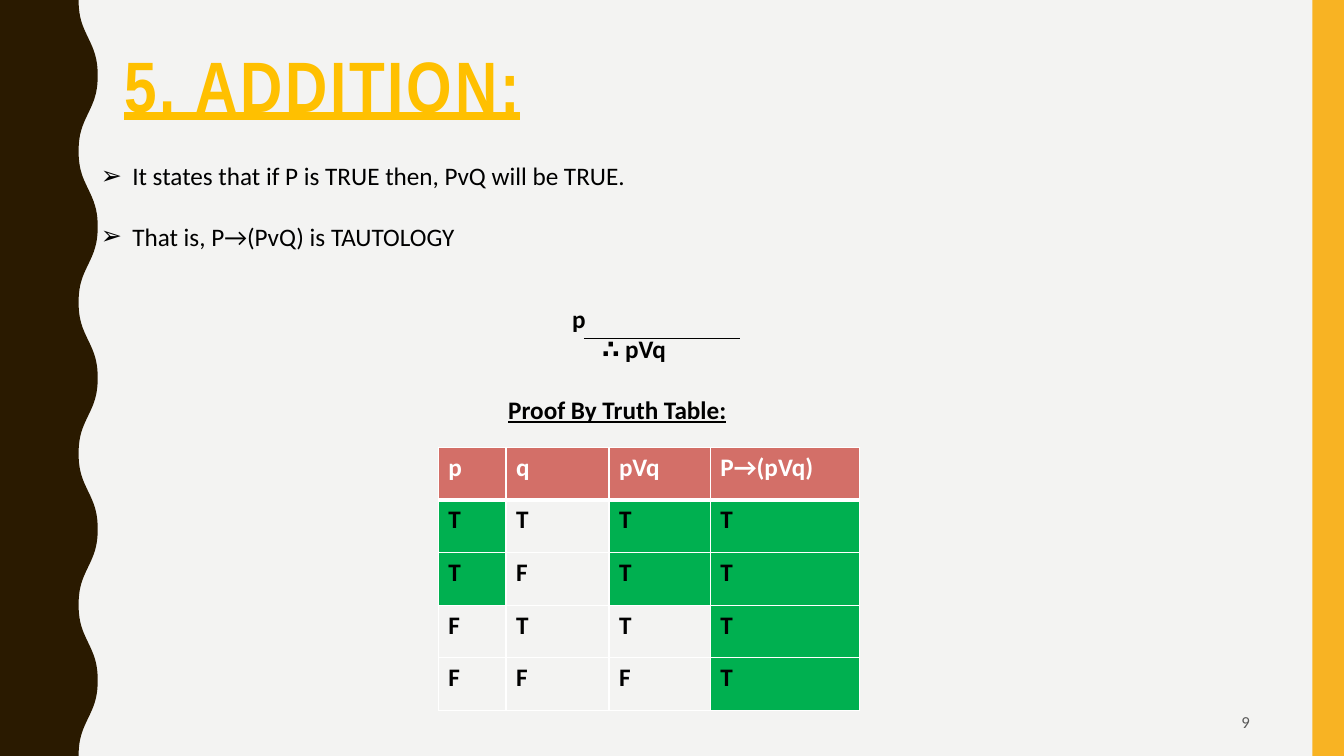
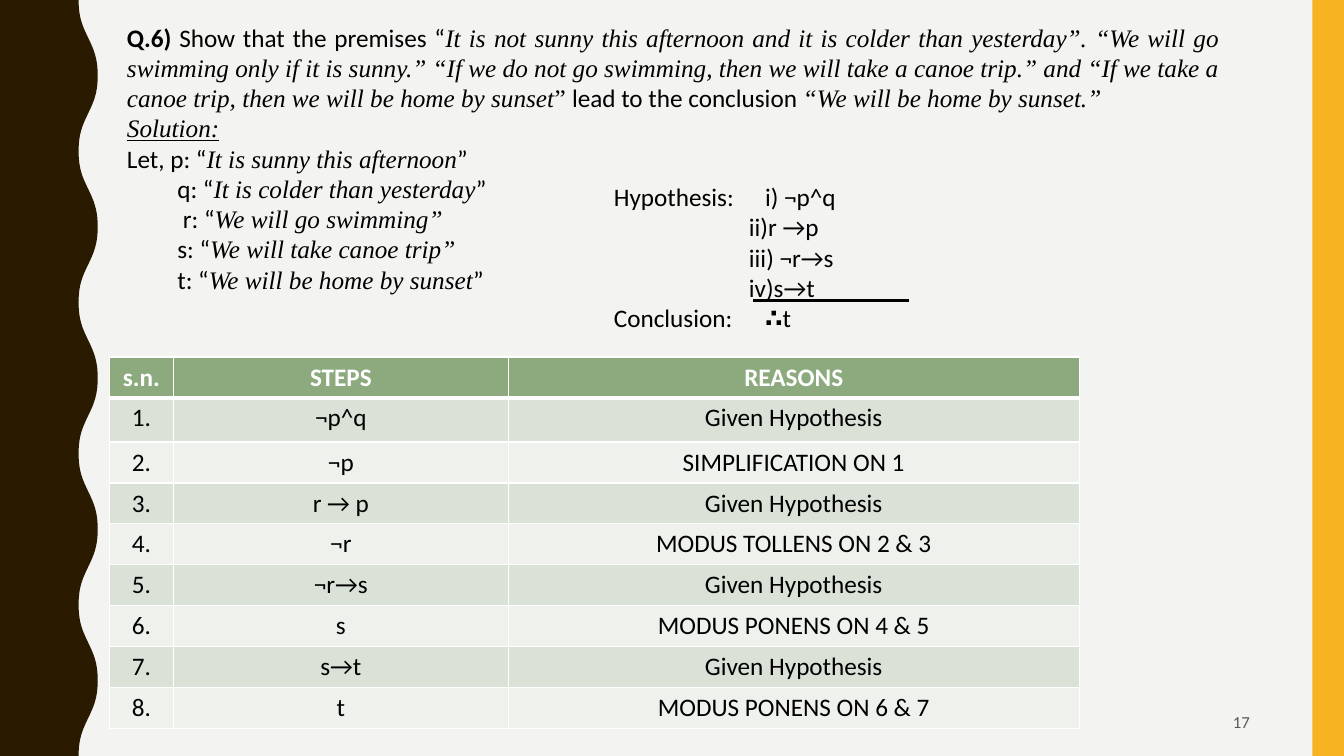
import math
from dataclasses import dataclass

from lxml import etree
from pptx import Presentation
from pptx import util as u
from pptx.dml.color import RGBColor
from pptx.enum import shapes, text
from pptx.oxml import ns

Pt = u.Pt
ALIGN = text.PP_ALIGN


@dataclass(frozen=True)
class Theme:
    paper: str = "F3F3F2"
    bark: str = "2A1A00"
    amber: str = "F8B323"
    gold: str = "FFC000"
    ink: str = "000000"
    muted: str = "595959"
    white: str = "FFFFFF"
    coral: str = "D36F68"
    true: str = "00B050"
    sage: str = "8CAA7E"
    bands: tuple = ("DAE2D8", "EEF1EC")
    body: str = "Calibri"
    heading: str = "Arial Narrow"
    quote: str = "Times New Roman"
    title_size: int = 51
    body_size: int = 18
    number_size: int = 12


T = Theme()
QUOTE = dict(font=T.quote, italic=True)


def rgb(color):
    return RGBColor.from_string(color)


def sub(parent, tag, **attrs):
    e = etree.SubElement(parent, ns.qn(tag))
    for name, value in attrs.items():
        e.set(name, str(value))
    return e


def add_run(p, content, font=T.body, size=T.body_size, color=T.ink,
            bold=False, italic=False, underline=False, spacing=0):
    r = p.add_run()
    r.text = content
    f = r.font
    f.name, f.size, f.color.rgb = font, Pt(size), rgb(color)
    f.bold, f.italic, f.underline = bold, italic, underline
    if spacing:
        f._element.set("spc", str(spacing * 100))


def add_paragraph(tf, runs, align=ALIGN.LEFT, indent=0, hang=0, bullet=None,
                  tab=None, line=None, before=0, **fmt):
    """Fill the empty first paragraph or append one; runs is text or (text, format) pairs."""
    p = tf.paragraphs[0]
    if p.runs:
        p = tf.add_paragraph()
    pPr = p._p.get_or_add_pPr()
    pPr.set("marL", str(Pt(indent)))
    pPr.set("indent", str(Pt(-hang)))
    if bullet:
        sub(pPr, "a:buFont", typeface="Arial")
        sub(pPr, "a:buChar", char=bullet)
    else:
        sub(pPr, "a:buNone")
    if tab:
        sub(sub(pPr, "a:tabLst"), "a:tab", pos=Pt(tab), algn="l")
    p.alignment, p.space_before = align, Pt(before)
    if line:
        p.line_spacing = line
    for content, own in [(runs, {})] if isinstance(runs, str) else runs:
        add_run(p, content, **{**fmt, **own})


def set_borders(cell, widths):
    """Draw white cell edges; widths maps L, R, T and B to points."""
    tcPr = cell._tc.get_or_add_tcPr()
    for i, (side, width) in enumerate(widths.items()):
        ln = etree.Element(ns.qn(f"a:ln{side}"), w=str(Pt(width)))
        sub(sub(ln, "a:solidFill"), "a:srgbClr", val=T.white)
        tcPr.insert(i, ln)


class Deck:
    def __init__(self):
        self.prs = Presentation()
        self.prs.slide_width, self.prs.slide_height = Pt(960), Pt(540)
        fill = self.prs.slide_master.background.fill
        fill.solid()
        fill.fore_color.rgb = rgb(T.paper)
        self.s = None

    def slide(self, layout, number):
        self.s = self.prs.slides.add_slide(self.prs.slide_layouts.get_by_name(layout))
        self.wave()
        bar = self.s.shapes.add_shape(shapes.MSO_SHAPE.RECTANGLE,
                                      Pt(937.5), 0, Pt(22.5), Pt(540))
        self.paint(bar, T.amber)
        tf = self.text(678, 502, 214.8, 27.4)
        tf.vertical_anchor = text.MSO_ANCHOR.MIDDLE
        add_paragraph(tf, number, align=ALIGN.RIGHT, size=T.number_size, color=T.muted)

    def paint(self, sp, color):
        sp.shadow.inherit = False
        sp.fill.solid()
        sp.fill.fore_color.rgb = rgb(color)
        sp.line.fill.background()

    def wave(self):
        """Left band whose edge makes five waves down the slide."""
        edge = []
        for y in range(0, 541, 3):
            a = 2 * math.pi * y / 108
            x = 63 - 7.2 * math.cos(a) + 0.36 * math.cos(3 * a)
            edge.append((Pt(x), Pt(y)))
        builder = self.s.shapes.build_freeform(0, 0)
        builder.add_line_segments(edge + [(0, Pt(540))], close=True)
        self.paint(builder.convert_to_shape(), T.bark)

    def frame(self, sp, x, y, w, h):
        """Place a text shape and give it a plain, wrapping frame without insets."""
        sp.left, sp.top, sp.width, sp.height = Pt(x), Pt(y), Pt(w), Pt(h)
        tf = sp.text_frame
        tf.word_wrap, tf.auto_size = True, text.MSO_AUTO_SIZE.NONE
        tf.vertical_anchor = text.MSO_ANCHOR.TOP
        tf.margin_left = tf.margin_right = tf.margin_top = tf.margin_bottom = 0
        return tf

    def text(self, x, y, w, h):
        return self.frame(self.s.shapes.add_textbox(0, 0, 0, 0), x, y, w, h)

    def title(self, content):
        tf = self.frame(self.s.shapes.title, 88.6, 36, 657, 63)
        add_paragraph(tf, content, line=0.9, font=T.heading, size=T.title_size,
                      color=T.gold, bold=True, underline=True, spacing=2)

    def bullets(self, items):
        tf = self.frame(self.s.placeholders[1], 72, 93, 866, 87)
        for item in items:
            add_paragraph(tf, item, indent=22.5, hang=22.5, bullet="➢", line=2.0)

    def rule(self, x, y, length, width):
        c = self.s.shapes.add_connector(shapes.MSO_CONNECTOR.STRAIGHT,
                                        Pt(x), Pt(y), Pt(x + length), Pt(y))
        c.line.color.rgb, c.line.width = rgb(T.ink), Pt(width)
        sub(c.element.spPr, "a:effectLst")

    def table(self, x, y, widths, heights, rows, head, fill_of,
              align=ALIGN.LEFT, bold=False):
        """fill_of(row, column) gives a body cell's colour, or None for no fill."""
        tbl = self.s.shapes.add_table(len(rows), len(widths), Pt(x), Pt(y),
                                      Pt(sum(widths)), Pt(sum(heights))).table
        tbl.horz_banding = False
        for col, w in zip(tbl.columns, widths):
            col.width = Pt(w)
        for i, (row, h) in enumerate(zip(rows, heights)):
            tbl.rows[i].height = Pt(h)
            for j, content in enumerate(row):
                cell = tbl.cell(i, j)
                color = fill_of(i, j) if i else head
                if color:
                    cell.fill.solid()
                    cell.fill.fore_color.rgb = rgb(color)
                else:
                    cell.fill.background()
                set_borders(cell, dict(L=1, R=1, T=3 if i == 1 else 1, B=1 if i else 3))
                add_paragraph(cell.text_frame, content, align=align,
                              color=T.ink if i else T.white, bold=bold or not i)


def addition(d):
    d.slide("Title and Content", "9")
    d.title("5. ADDITION:")
    d.bullets(["It states that if P is TRUE then, PvQ will be TRUE.",
               "That is, P→(PvQ) is TAUTOLOGY"])
    tf = d.text(363, 216.7, 350, 88)
    add_paragraph(tf, "p", indent=45.6, bold=True)
    add_paragraph(tf, "∴ pVq", indent=67, bold=True)
    add_paragraph(tf, "Proof By Truth Table:", before=21.6, bold=True, underline=True)
    rows = [["p", "q", "pVq", "P→(pVq)"], *map(list, ("TTTT", "TFTT", "FTTT", "FFFT"))]
    always_true, p_true = 3, (0, 2)

    def fill_of(i, j):
        return T.true if j == always_true or (rows[i][0] == "T" and j in p_true) else None

    d.table(313, 319.5, [48.5, 73.5, 72.5, 106.5], [37.6] * 5, rows, T.coral,
            fill_of, bold=True)
    d.rule(417, 242, 111.5, 0.5)


def canoe_trip(d):
    d.slide("Blank", "17")
    tf = d.text(90.7, 15.8, 780.5, 197)
    add_paragraph(tf, [
        ("Q.6) ", dict(bold=True)),
        ("Show that the premises “", {}),
        ("It is not sunny this afternoon and it is colder than yesterday”. “We will go "
         "swimming only if it is sunny.” “If we do not go swimming, then we will take a "
         "canoe trip.” and “If we take a canoe trip, then we will be home by sunset", QUOTE),
        ("” ", dict(font=T.quote)),
        ("lead to the conclusion ", {}),
        ("“We will be home by sunset.”", QUOTE)], align=ALIGN.JUSTIFY)
    add_paragraph(tf, "Solution:", align=ALIGN.JUSTIFY, underline=True, **QUOTE)
    for label, claim, closing, indent in [
            ("Let, p", "It is sunny this afternoon", {}, 0),
            ("q", "It is colder than yesterday", {}, 36),
            ("r", "We will go swimming", QUOTE, 40),
            ("s", "We will take canoe trip", QUOTE, 36),
            ("t", "We will be home by sunset", {}, 36)]:
        add_paragraph(tf, [(f"{label}: “", {}), (claim, QUOTE), ("”", closing)],
                      align=ALIGN.JUSTIFY, indent=indent)

    tf = d.text(438.5, 129.6, 350, 110)
    add_paragraph(tf, "Hypothesis:\ti) ¬p^q", tab=102)
    for premise in ("ii)r →p", "iii) ¬r→s", "iv)s→t"):
        add_paragraph(tf, premise, indent=96.5)
    add_paragraph(tf, [("Conclusion:\t", {}), ("∴", dict(bold=True)), ("t", {})], tab=109)
    d.rule(538, 214.5, 111, 2.25)

    given = "Given Hypothesis"
    steps = [("¬p^q", given), ("¬p", "SIMPLIFICATION ON 1"),
             ("r → p", given), ("¬r", "MODUS TOLLENS ON 2 & 3"),
             ("¬r→s", given), ("s", "MODUS PONENS ON 4 & 5"),
             ("s→t", given), ("t", "MODUS PONENS ON 6 & 7")]
    rows = [("s.n.", "STEPS", "REASONS")]
    rows += [(f"{n}.", *step) for n, step in enumerate(steps, 1)]
    d.table(78, 255, [46, 239, 408], [29.2, 31.6] + [29.2] * 7, rows, T.sage,
            lambda i, j: T.bands[(i - 1) % 2], align=ALIGN.CENTER)


def main():
    d = Deck()
    addition(d)
    canoe_trip(d)
    d.prs.save("out.pptx")


if __name__ == "__main__":
    main()
